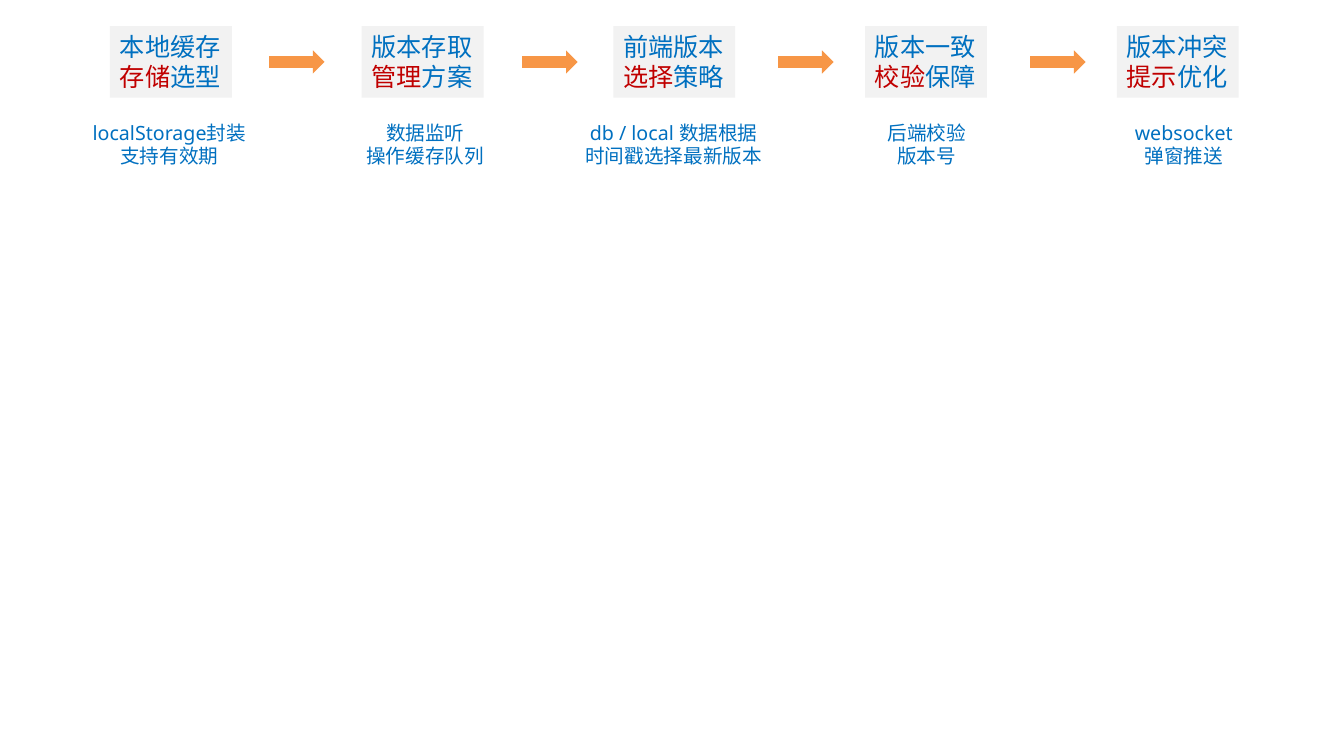
from pptx import Presentation
from pptx import util as u
from pptx.dml.color import RGBColor
from pptx.enum import shapes, text

BLUE = RGBColor(0x00, 0x70, 0xC0)
RED = RGBColor(0xC0, 0x00, 0x00)
GREY = RGBColor(0xF2, 0xF2, 0xF2)
ORANGE = RGBColor(0xF7, 0x96, 0x46)
FONT = "Noto Sans"

# Row of steps, in points
FIRST_LEFT, STEP_PITCH = 78.5, 179.8
BOX_TOP, BOX_WIDTH, BOX_HEIGHT = 18.7, 87.1, 51.1
CAPTION_TOP, CAPTION_HEIGHT = 82.8, 41
ARROW_TOP, ARROW_WIDTH, ARROW_HEIGHT = 36, 39.6, 16.6
ARROW_LEFTS = [192.2, 373, 555.8, 735.8]

# First line, red words, blue words, caption lines, caption centre, caption width
STEPS = [
    ("本地缓存", "存储", "选型", ["localStorage封装", "支持有效期"], 121, 129.6),
    ("版本存取", "管理", "方案", ["数据监听", "操作缓存队列"], 303.8, 99.4),
    ("前端版本", "选择", "策略", ["db / local 数据根据", "时间戳选择最新版本"], 481.3, 141.8),
    ("版本一致", "校验", "保障", ["后端校验", "版本号"], 662, 71.3),
    ("版本冲突", "提示", "优化", ["websocket", "弹窗推送"], 845.6, 90),
]


def add_block(slide, kind, left, top, width, height, fill):
    shape = slide.shapes.add_shape(
        kind, u.Pt(left), u.Pt(top), u.Pt(width), u.Pt(height))
    shape.shadow.inherit = False
    shape.fill.solid()
    shape.fill.fore_color.rgb = fill
    shape.line.fill.background()
    return shape


def write_lines(frame, lines, size, alignment):
    """Each line is a list of (words, colour) pairs."""
    frame_format = {
        "word_wrap": False,
        "auto_size": text.MSO_AUTO_SIZE.SHAPE_TO_FIT_TEXT,
        "vertical_anchor": text.MSO_ANCHOR.TOP,
    }
    for name, value in frame_format.items():
        setattr(frame, name, value)
    for index, line in enumerate(lines):
        paragraph = frame.add_paragraph() if index else frame.paragraphs[0]
        paragraph.alignment = alignment
        for words, colour in line:
            run = paragraph.add_run()
            run.text = words
            for name, value in {"name": FONT, "size": u.Pt(size)}.items():
                setattr(run.font, name, value)
            run.font.color.rgb = colour


def add_step_box(slide, left, first_line, red_words, blue_words):
    box = add_block(slide, shapes.MSO_SHAPE.RECTANGLE,
                    left, BOX_TOP, BOX_WIDTH, BOX_HEIGHT, GREY)
    lines = [[(first_line, BLUE)], [(red_words, RED), (blue_words, BLUE)]]
    write_lines(box.text_frame, lines, 18, text.PP_ALIGN.LEFT)


def add_caption(slide, lines, centre, width):
    caption = slide.shapes.add_textbox(
        u.Pt(centre - width / 2), u.Pt(CAPTION_TOP),
        u.Pt(width), u.Pt(CAPTION_HEIGHT))
    write_lines(caption.text_frame, [[(line, BLUE)] for line in lines],
                14, text.PP_ALIGN.CENTER)


def main():
    presentation = Presentation()
    presentation.slide_width = u.Pt(960)
    presentation.slide_height = u.Pt(540)
    slide = presentation.slides.add_slide(presentation.slide_layouts[6])

    # Steps with their captions
    for index, (first, red, blue, lines, centre, width) in enumerate(STEPS):
        add_step_box(slide, FIRST_LEFT + index * STEP_PITCH, first, red, blue)
        add_caption(slide, lines, centre, width)

    # Arrows between the steps
    for left in ARROW_LEFTS:
        add_block(slide, shapes.MSO_SHAPE.RIGHT_ARROW,
                  left, ARROW_TOP, ARROW_WIDTH, ARROW_HEIGHT, ORANGE)

    presentation.save("out.pptx")


main()
